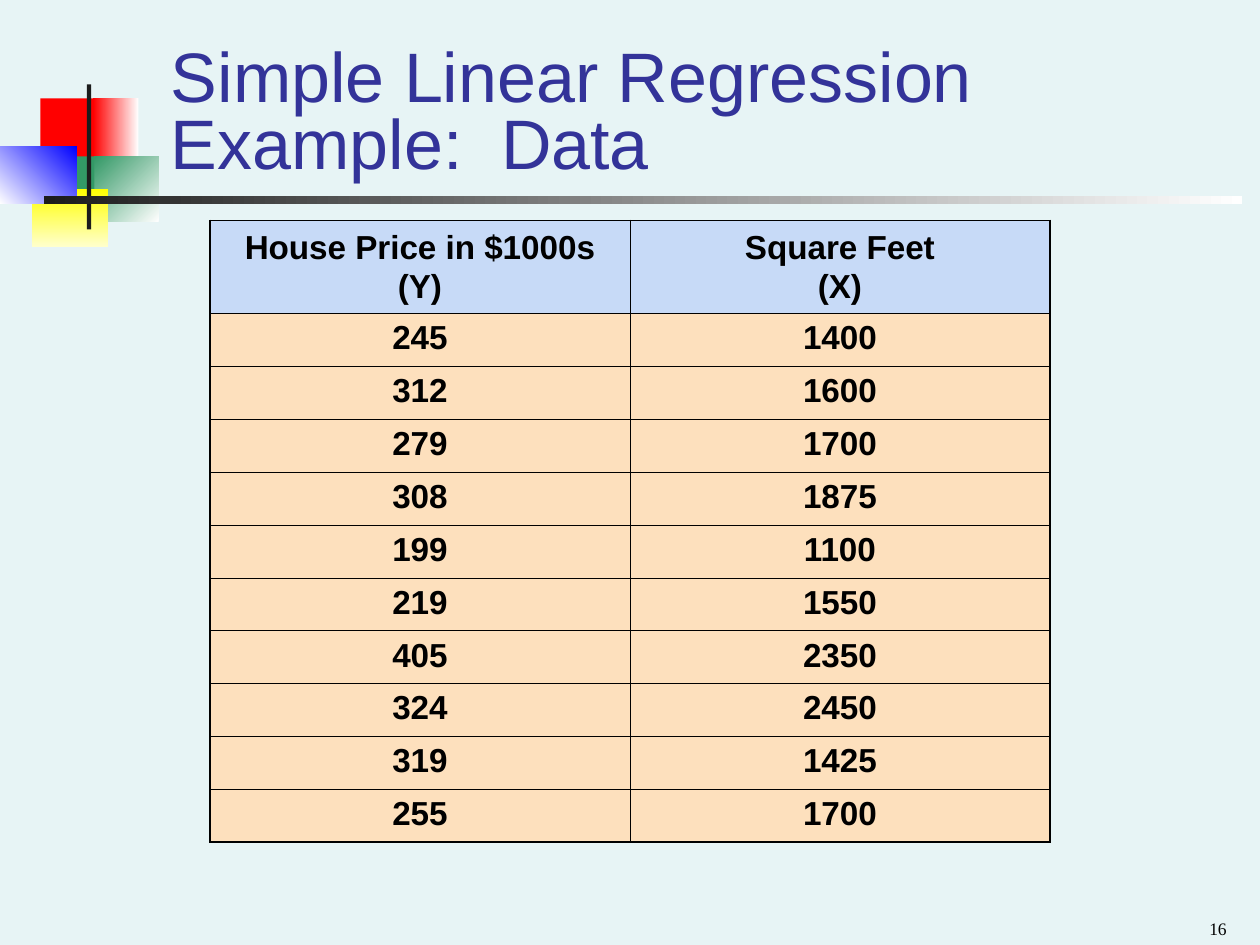
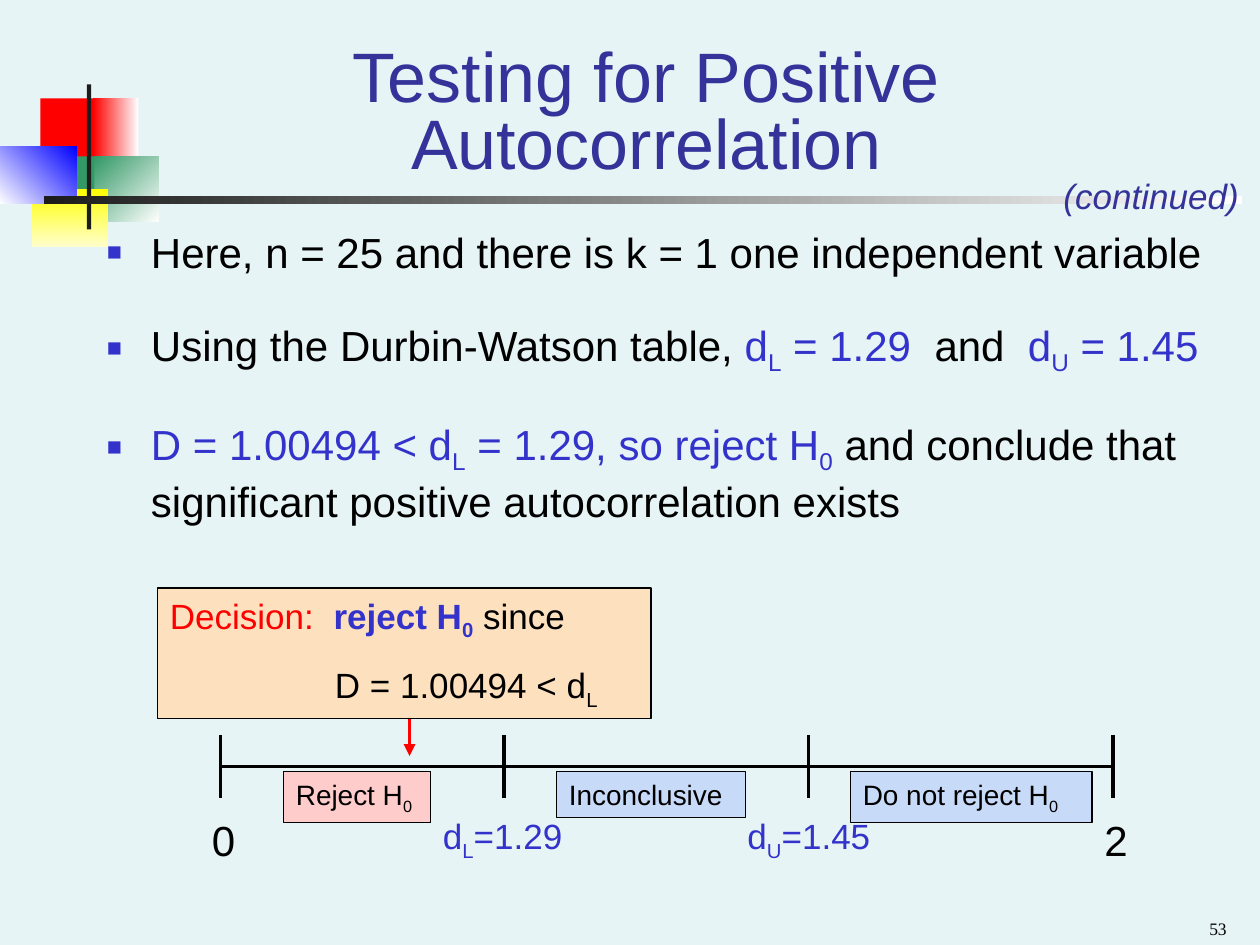
from lxml.etree import SubElement
from pptx import Presentation
from pptx.dml.color import RGBColor
from pptx.enum.shapes import MSO_CONNECTOR, MSO_SHAPE
from pptx.enum.text import MSO_ANCHOR, PP_ALIGN
from pptx.oxml.ns import qn
from pptx.util import Inches, Pt

COLS, ROWS = 120, 90  # square grid cells across and down the slide
CELL = Inches(10) / COLS

BLACK, WHITE, RED = "000000", "FFFFFF", "FF0000"
GREEN, YELLOW, DARK = "339966", "FFFF00", "1C1C1C"
BACKGROUND, TITLE_BLUE, ACCENT = "E7F4F5", "333399", "3333CC"
PEACH, LIGHT_BLUE, PINK = "FDE0BD", "C7DAF7", "FFCCCC"

# left, top, width, height, colours, clockwise gradient angle
ORNAMENT = [
    (3.84, 9.36, 5.76, 6.24, [RED], 0),
    (8.88, 9.36, 4.32, 6.24, [WHITE, RED], 180),
    (9, 14.88, 6.12, 6.24, [WHITE, GREEN], 225),
    (5.16, 14.88, 3.84, 6.24, [GREEN], 0),
    (3, 18, 7.32, 5.52, [YELLOW, "FFFFCC"], 90),
    (0, 13.92, 7.32, 5.52, ["0000FF", WHITE], 135),
    (8.28, 8.04, 0.4, 13.8, [DARK], 0),
    (4.2, 18.72, 114.1, 0.72, [WHITE, DARK], 180),
]

HOUSE_HEADER = [("House Price in $1000s", "(Y)"), ("Square Feet", "(X)")]
HOUSES = [(245, 1400), (312, 1600), (279, 1700), (308, 1875), (199, 1100),
          (219, 1550), (405, 2350), (324, 2450), (319, 1425), (255, 1700)]


def grid(*cells):
    return [round(c * CELL) for c in cells]


def rgb(color):
    return RGBColor.from_string(color)


def paint(fill, colors, angle=0):
    """Fill with one colour, or with a two-colour gradient."""
    if len(colors) == 1:
        fill.solid()
        fill.fore_color.rgb = rgb(colors[0])
        return
    fill.gradient()
    fill.gradient_angle = (360 - angle) % 360
    for stop, color in zip(fill.gradient_stops, colors):
        stop.color.rgb = rgb(color)


def add_run(p, text, size=20, color=BLACK, font="Arial", bold=False, italic=False, sub=False):
    r = p.add_run()
    r.text = text
    r.font.size, r.font.name = Pt(size), font
    r.font.bold, r.font.italic = bold, italic
    r.font.color.rgb = rgb(color)
    if sub:
        r.font._element.set("baseline", "-25000")


def write(p, text, align=PP_ALIGN.LEFT, spacing=None, before=0, **font):
    """Add text to a paragraph; the letter after an underscore is a subscript."""
    p.alignment, p.space_before = align, Pt(before)
    if spacing:
        p.line_spacing = spacing
    head, *tails = text.split("_")
    if head:
        add_run(p, head, **font)
    for tail in tails:
        add_run(p, tail[0], sub=True, **font)
        if tail[1:]:
            add_run(p, tail[1:], **font)


def indent(p, left, hang=0):
    pPr = p._p.get_or_add_pPr()
    pPr.set("marL", str(Inches(left)))
    pPr.set("indent", str(-Inches(hang)))
    return pPr


def add_bullet(p):
    pPr = indent(p, 0.35, 0.35)
    SubElement(SubElement(pPr, qn("a:buClr")), qn("a:srgbClr"), val=ACCENT)
    SubElement(pPr, qn("a:buSzPct"), val="60000")
    SubElement(pPr, qn("a:buFont"), typeface="Arial")
    SubElement(pPr, qn("a:buChar"), char="■")


def add_text_box(s, *box, anchor=MSO_ANCHOR.TOP):
    tf = s.shapes.add_textbox(*grid(*box)).text_frame
    tf.word_wrap, tf.vertical_anchor = True, anchor
    return tf


def add_label(s, text, *box, **fmt):
    write(add_text_box(s, *box).paragraphs[0], text, **fmt)


def add_rect(s, *box, colors, angle=0, outline=None):
    sp = s.shapes.add_shape(MSO_SHAPE.RECTANGLE, *grid(*box))
    sp.shadow.inherit = False
    paint(sp.fill, colors, angle)
    if outline:
        sp.line.color.rgb, sp.line.width = rgb(outline), Pt(0.75)
    else:
        sp.line.fill.background()
    return sp


def add_panel(s, *box, fill):
    """Outlined rectangle for text that starts at its top left."""
    tf = add_rect(s, *box, colors=[fill], outline=BLACK).text_frame
    tf.word_wrap, tf.vertical_anchor = True, MSO_ANCHOR.TOP
    return tf


def add_line(s, *ends, color=BLACK, arrow=False):
    line = s.shapes.add_connector(MSO_CONNECTOR.STRAIGHT, *grid(*ends))
    line.line.color.rgb, line.line.width = rgb(color), Pt(2.25)
    if arrow:
        SubElement(line.line._get_or_add_ln(), qn("a:tailEnd"), type="triangle")
    SubElement(line._element.spPr, qn("a:effectLst"))


def set_borders(cell, **widths):
    tcPr = cell._tc.get_or_add_tcPr()
    for i, (side, width) in enumerate(widths.items()):
        ln = SubElement(tcPr, qn(f"a:ln{side}"), w=str(Pt(width)))
        SubElement(SubElement(ln, qn("a:solidFill")), qn("a:srgbClr"), val=BLACK)
        tcPr.insert(i, ln)


def add_table(s, header, rows, left, top, col_width, header_height, row_height):
    """Two-tone table with thick lines round the header and the whole."""
    thin, thick = 0.45, 1.08
    n_rows, n_cols = len(rows) + 1, len(header)
    size = n_cols * col_width, header_height + len(rows) * row_height
    table = s.shapes.add_table(n_rows, n_cols, *grid(left, top, *size)).table
    for col in table.columns:
        col.width = grid(col_width)[0]
    lines = [header] + [[(str(value),) for value in row] for row in rows]
    for i, line in enumerate(lines):
        table.rows[i].height = grid(row_height if i else header_height)[0]
        for j, texts in enumerate(line):
            cell = table.cell(i, j)
            paint(cell.fill, [PEACH if i else LIGHT_BLUE])
            cell.vertical_anchor = MSO_ANCHOR.TOP if i else MSO_ANCHOR.MIDDLE
            set_borders(cell,
                        L=thin if j else thick,
                        R=thick if j == n_cols - 1 else thin,
                        T=thick if i < 2 else thin,
                        B=thick if i in (0, n_rows - 1) else thin)
            tf = cell.text_frame
            for k, text in enumerate(texts):
                write(tf.add_paragraph() if k else tf.paragraphs[0], text,
                      align=PP_ALIGN.CENTER, size=19, bold=True,
                      spacing=0.8 if k else None, before=4.8 if k else 0)


def add_slide(prs, title, number, align=PP_ALIGN.LEFT):
    """Blank slide with the shared background, ornament, title and number."""
    s = prs.slides.add_slide(prs.slide_layouts[6])
    paint(s.background.fill, [BACKGROUND])
    for *box, colors, angle in ORNAMENT:
        add_rect(s, *box, colors=colors, angle=angle)
    tf = add_text_box(s, 15.1, 5, 92.9, 13, anchor=MSO_ANCHOR.BOTTOM)
    write(tf.paragraphs[0], title, align=align, spacing=0.8, size=40, color=TITLE_BLUE)
    tf = add_text_box(s, 90, 85.8, 28, 4.2, anchor=MSO_ANCHOR.BOTTOM)
    write(tf.paragraphs[0], str(number), align=PP_ALIGN.RIGHT, size=10, font="Times New Roman")
    return s


def add_findings(s):
    findings = [
        [("Here, n = 25 and there is k = 1 one independent variable", BLACK)],
        [("Using the Durbin-Watson table, ", BLACK), ("d_L = 1.29  ", ACCENT),
         ("and", BLACK), ("  d_U = 1.45", ACCENT)],
        [("D = 1.00494 < d_L = 1.29, so reject H_0", ACCENT),
         (" and conclude that significant positive autocorrelation exists", BLACK)],
    ]
    tf = add_text_box(s, 9, 21, 107, 31)
    for i, parts in enumerate(findings):
        p = tf.add_paragraph() if i else tf.paragraphs[0]
        add_bullet(p)
        for text, color in parts:
            write(p, text, before=24 if i else 0, size=24, color=color)


def add_decision(s):
    add_line(s, 39, 67, 39, 72, color=RED, arrow=True)
    tf = add_panel(s, 15, 56, 47, 12.4, fill=PEACH)
    p = tf.paragraphs[0]
    write(p, "Decision:  ", color=RED)
    write(p, "reject H_0", color=ACCENT, bold=True)
    write(p, " since")
    p = tf.add_paragraph()
    indent(p, 1.31)
    write(p, "D = 1.00494 < d_L", before=12.5)


def add_decision_scale(s):
    axis, ticks = 73, (21, 48, 77, 106)
    add_line(s, ticks[0], axis, ticks[-1], axis)
    for x in ticks:
        add_line(s, x, axis - 3, x, axis + 3)
    for text, left, width, size, color in [
            ("0", 19, 5, 24, BLACK), ("d_L=1.29", 41, 15, 20, ACCENT),
            ("d_U=1.45", 70, 16, 20, ACCENT), ("2", 104, 5, 24, BLACK)]:
        add_label(s, text, left, 77, width, 6, size=size, color=color)
    for text, left, width, height, fill in [
            ("Reject H_0", 27, 14, 4.9, PINK),
            ("Do not reject H_0", 81, 23, 4.9, LIGHT_BLUE),
            ("Inconclusive", 53, 18, 4.4, LIGHT_BLUE)]:
        tf = add_panel(s, left, axis + 0.45, width, height, fill=fill)
        write(tf.paragraphs[0], text, size=16)


def main():
    prs = Presentation()
    prs.slide_width, prs.slide_height = grid(COLS, ROWS)

    s = add_slide(prs, "Simple Linear Regression Example:  Data", 16)
    add_table(s, HOUSE_HEADER, HOUSES, left=20, top=21, col_width=40,
              header_height=8.86, row_height=5.04)

    s = add_slide(prs, "Testing for Positive Autocorrelation", 53, align=PP_ALIGN.CENTER)
    add_findings(s)
    add_label(s, "(continued)", 100.1, 16, 19.8, 5.3, color=TITLE_BLUE, italic=True)
    add_decision(s)
    add_decision_scale(s)

    prs.save("out.pptx")


if __name__ == "__main__":
    main()
